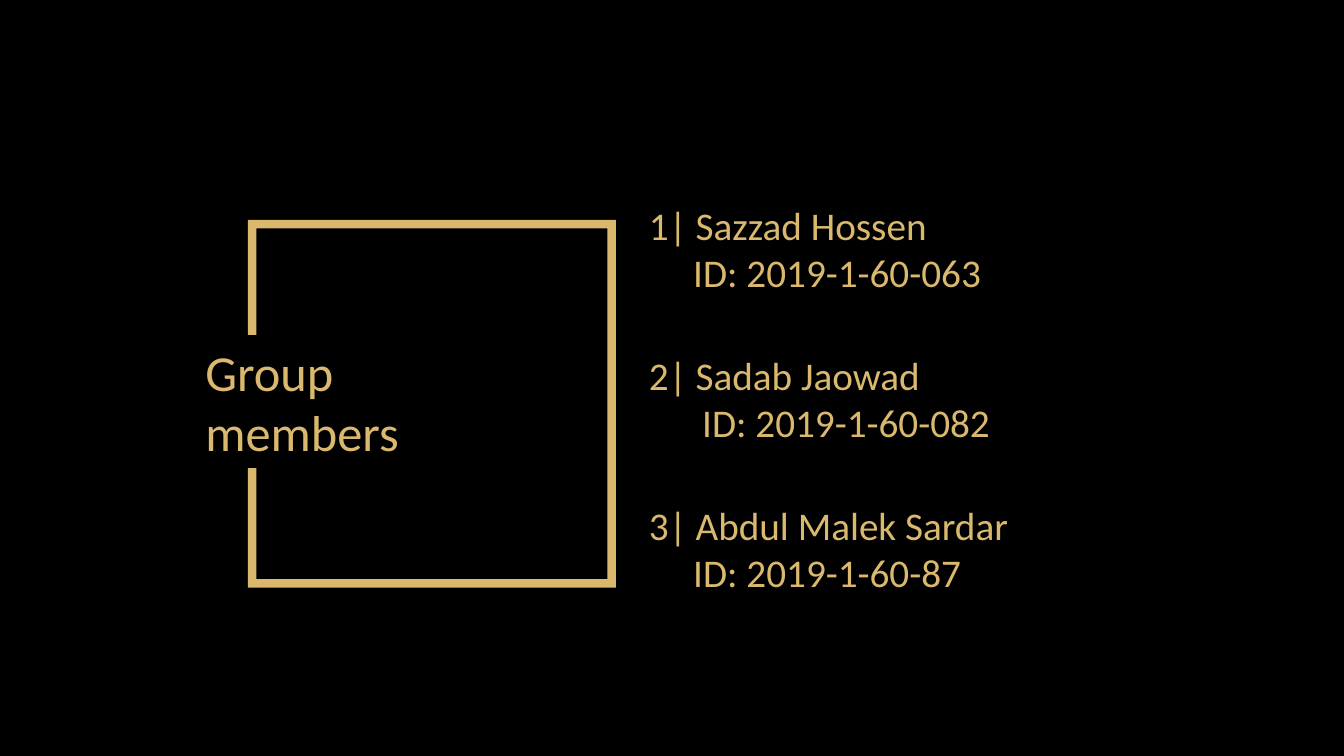
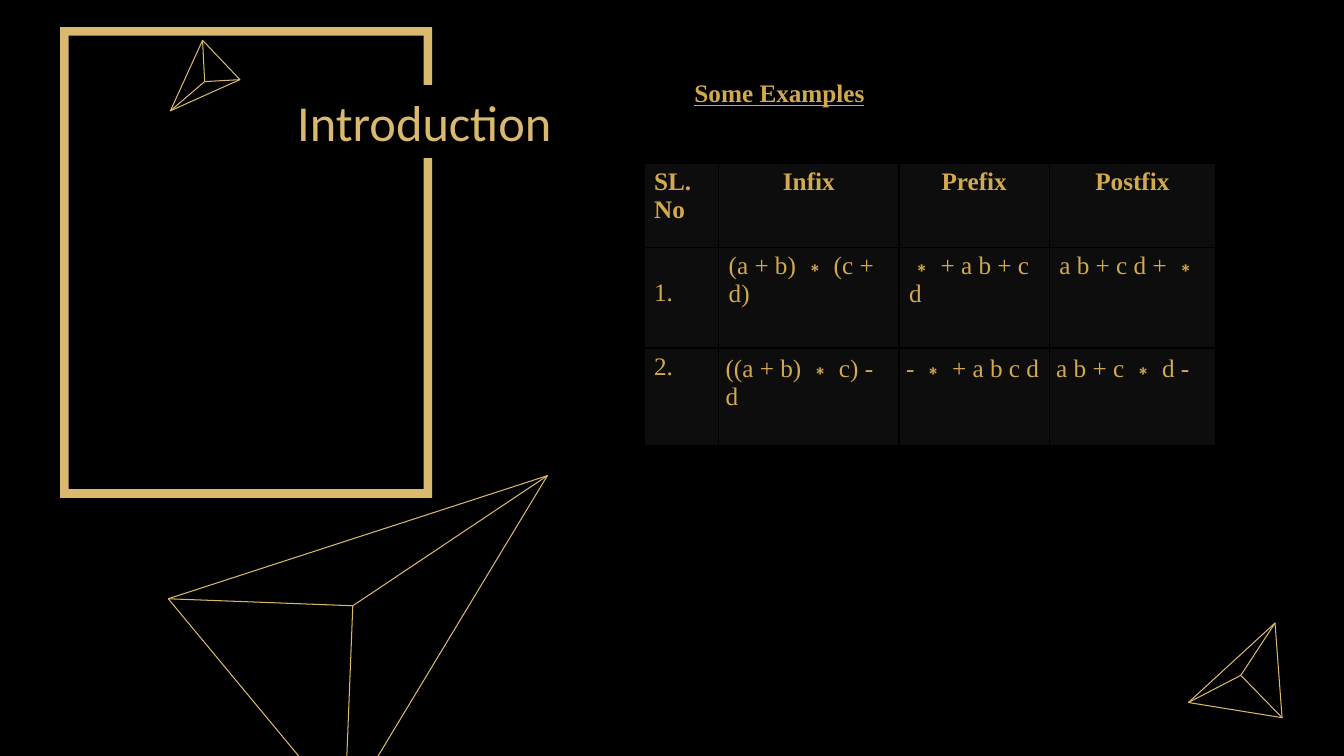
"""Build two black and gold slides: group members and an introduction to notations."""
from dataclasses import dataclass

from lxml import etree
from pptx import Presentation
from pptx.dml.color import RGBColor
from pptx.enum import shapes as sh, text as tx
from pptx.oxml import ns
from pptx.util import Pt

BLACK = RGBColor(0x00, 0x00, 0x00)
GOLD = RGBColor(0xDA, 0xB9, 0x6E)
DARK_GOLD = RGBColor(0xD2, 0xA9, 0x4E)
CELL_GREY = RGBColor(0x0D, 0x0D, 0x0D)
SANS, SERIF = "Calibri", "Times New Roman"

Point = tuple[float, float]


@dataclass(frozen=True)
class Box:
    left: float
    top: float
    width: float
    height: float

    def emu(self) -> tuple:
        return Pt(self.left), Pt(self.top), Pt(self.width), Pt(self.height)


@dataclass(frozen=True)
class Member:
    name: str
    student_id: str
    top: float
    indent: float


@dataclass(frozen=True)
class Pyramid:
    corners: tuple[Point, Point, Point]
    apex: Point


MEMBERS = (
    Member("1| Sazzad Hossen", "ID: 2019-1-60-063", 140.4, 31.6),
    Member("2| Sadab Jaowad", "ID: 2019-1-60-082", 247.4, 38),
    Member("3| Abdul Malek Sardar", "ID: 2019-1-60-87", 354.6, 31.6),
)
PYRAMIDS = (
    Pyramid(((120.2, 427.7), (391, 339.8), (246.2, 579.6)), (252, 432.7)),
    Pyramid(((171.4, 56.9), (121.7, 79.2), (144.7, 28.8)), (146.2, 58.3)),
    Pyramid(((848.9, 501.8), (915.8, 512.6), (910.8, 445)), (886.3, 482.4)),
)
COLUMNS = (53.3, 128.9, 107.3, 118.8)
ROWS = (60, 72, 70)
EXAMPLES = (
    ("SL. No", "Infix", "Prefix", "Postfix"),
    ("1.", "(a + b) ∗ (c + d)", "∗ + a b + c d", "a b + c d + ∗"),
    ("2.", "((a + b) ∗ c) - d", "- ∗ + a b c d", "a b + c ∗ d -"),
)


def style(p, name: str, size: float, color: RGBColor, bold: bool = False) -> None:
    f = p.font
    f.name, f.size, f.bold = name, Pt(size), bold
    f.color.rgb = color


def add_text(s, box: Box, lines: tuple[str, ...], name: str, size: float,
             color: RGBColor, bold: bool = False):
    tf = s.shapes.add_textbox(*box.emu()).text_frame
    tf.word_wrap = True
    tf.text = "\n".join(lines)
    for p in tf.paragraphs:
        style(p, name, size, color, bold)
    return tf


def add_framed_title(s, frame: Box, label: Box, title: str) -> None:
    sp = s.shapes.add_shape(sh.MSO_SHAPE.FRAME, *frame.emu())
    sp.adjustments[0] = 0.023
    sp.shadow.inherit = False
    sp.fill.solid()
    sp.fill.fore_color.rgb = GOLD
    sp.line.fill.background()

    sp = s.shapes.add_shape(sh.MSO_SHAPE.RECTANGLE, *label.emu())
    sp.shadow.inherit = False
    sp.fill.solid()
    sp.fill.fore_color.rgb = BLACK
    sp.line.color.rgb = BLACK
    sp.line.width = Pt(1)
    tf = sp.text_frame
    tf.word_wrap = True
    tf.vertical_anchor = tx.MSO_ANCHOR.TOP
    tf.text = title
    p = tf.paragraphs[0]
    p.alignment = tx.PP_ALIGN.LEFT
    style(p, SANS, 36, GOLD)


def add_pyramid(s, pyramid: Pyramid) -> None:
    first, *others = [(Pt(x), Pt(y)) for x, y in pyramid.corners]
    builder = s.shapes.build_freeform(*first)
    builder.add_line_segments(others, close=True)
    sp = builder.convert_to_shape()
    sp.shadow.inherit = False
    sp.fill.background()
    edges = [sp]
    apex = [Pt(v) for v in pyramid.apex]
    for corner in (first, *others):
        cx = s.shapes.add_connector(sh.MSO_CONNECTOR.STRAIGHT, *corner, *apex)
        etree.SubElement(cx._element.spPr, ns.qn("a:effectLst"))
        edges.append(cx)
    for edge in edges:
        edge.line.color.rgb = GOLD
        edge.line.width = Pt(0.75)


def add_borders(cell) -> None:
    tcPr = cell._tc.get_or_add_tcPr()
    for i, side in enumerate(("lnL", "lnR", "lnT", "lnB")):
        ln = etree.Element(ns.qn(f"a:{side}"), w=str(Pt(1)))
        fill = etree.SubElement(ln, ns.qn("a:solidFill"))
        etree.SubElement(fill, ns.qn("a:srgbClr"), val=str(BLACK))
        tcPr.insert(i, ln)


def add_examples_table(s, left: float, top: float) -> None:
    box = Box(left, top, sum(COLUMNS), sum(ROWS))
    table = s.shapes.add_table(len(ROWS), len(COLUMNS), *box.emu()).table
    table.horz_banding = False
    for column, width in zip(table.columns, COLUMNS):
        column.width = Pt(width)
    for r, height in enumerate(ROWS):
        table.rows[r].height = Pt(height)
        for c, value in enumerate(EXAMPLES[r]):
            cell = table.cell(r, c)
            cell.fill.solid()
            cell.fill.fore_color.rgb = CELL_GREY
            add_borders(cell)
            cell.text = value
            p = cell.text_frame.paragraphs[0]
            style(p, SERIF, 18, DARK_GOLD, bold=r == 0)
            if r == 0 and c > 0:
                p.alignment = tx.PP_ALIGN.CENTER
            if r == 2 and c > 0:
                cell.margin_left = cell.margin_right = Pt(5)
                cell.margin_top = cell.margin_bottom = Pt(5)
    table.cell(1, 0).margin_top = Pt(23)


def build_members(s) -> None:
    add_framed_title(s, Box(177.1, 157, 262.8, 262.8),
                     Box(139.7, 239.8, 237.6, 94.3), "Group members")
    for m in MEMBERS:
        tf = add_text(s, Box(456.5, m.top, 390, 75), (m.name, m.student_id),
                      SANS, 28, GOLD)
        tf.paragraphs[1]._p.get_or_add_pPr().set("marL", str(Pt(m.indent)))


def build_introduction(s) -> None:
    add_framed_title(s, Box(43, 19.4, 265.7, 336.2),
                     Box(205.2, 61.2, 239.8, 51), "Introduction")
    for pyramid in PYRAMIDS:
        add_pyramid(s, pyramid)
    add_examples_table(s, 460, 116.6)
    tf = add_text(s, Box(489, 51.8, 175, 29), ("Some Examples",),
                  SERIF, 18, DARK_GOLD, bold=True)
    tf.paragraphs[0].font.underline = True


def main() -> None:
    prs = Presentation()
    prs.slide_width, prs.slide_height = Pt(960), Pt(540)
    fill = prs.slide_master.background.fill
    fill.solid()
    fill.fore_color.rgb = BLACK
    for build in (build_members, build_introduction):
        build(prs.slides.add_slide(prs.slide_layouts[6]))
    prs.save("out.pptx")


if __name__ == "__main__":
    main()
